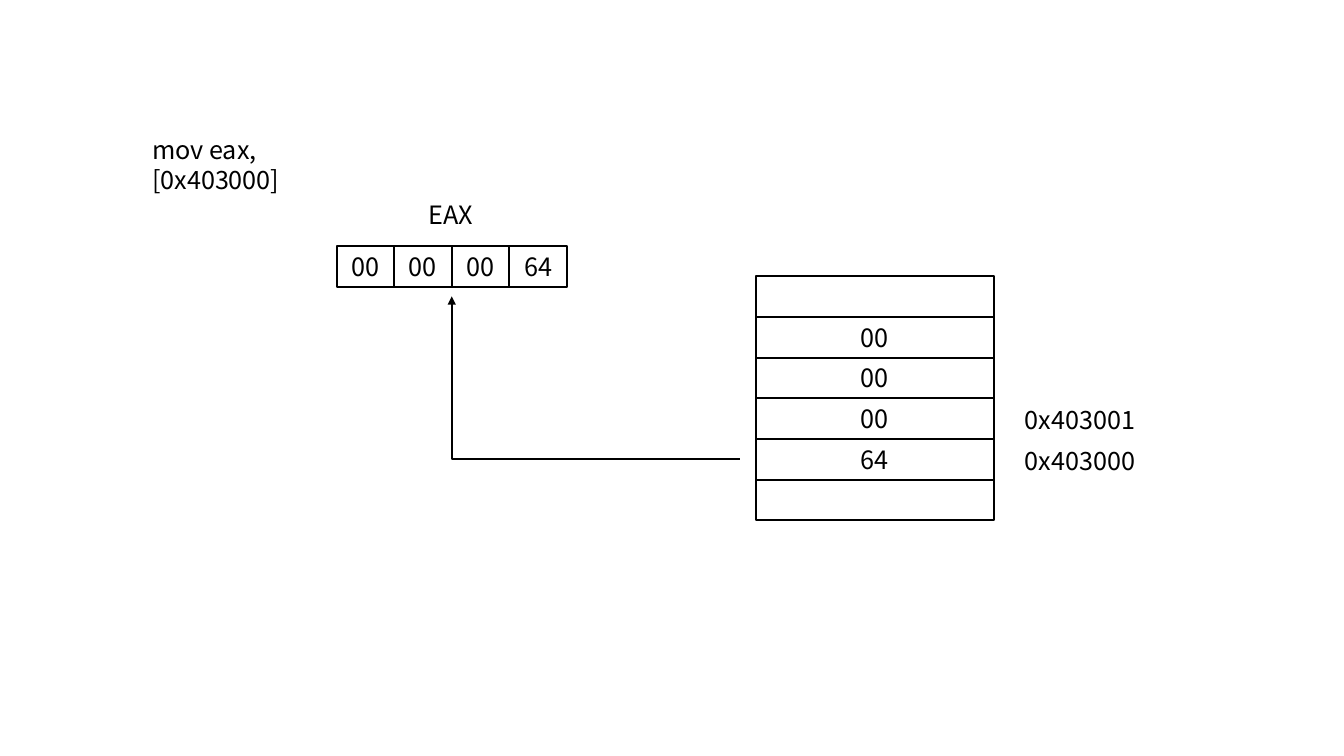
from lxml.etree import SubElement
from pptx import Presentation
from pptx.dml.color import RGBColor
from pptx.enum.shapes import MSO_CONNECTOR as Link, MSO_SHAPE as Shape
from pptx.enum.text import MSO_ANCHOR as Anchor, MSO_AUTO_SIZE as Fit, PP_ALIGN as Align
from pptx.oxml.ns import qn
from pptx.util import Pt

# Content
INSTRUCTION = "mov eax, [0x403000]"
REGISTER_NAME = "EAX"
REGISTER_BYTES = ["00", "00", "00", "64"]
# Memory rows from top to bottom: byte, address
MEMORY = [
    ("", ""),
    ("00", ""),
    ("00", ""),
    ("00", "0x403001"),
    ("64", "0x403000"),
    ("", ""),
]
LOADED_ROW = 4

# Theme
THEME = {
    "font": "Noto Sans CJK KR",
    "size": 18,
    "ink": RGBColor(0, 0, 0),
    "line": 1.5,
}

# Layout, in points
SLIDE_W, SLIDE_H = 960, 540
CELL_H = 29.08
REGISTER_X, REGISTER_Y, BYTE_W = 240.5, 175.7, 41.1
MEMORY_X, MEMORY_Y, MEMORY_W = 540, 197.3, 170
ADDRESS_X, ADDRESS_W = 725, 93.6
ARROW_START_GAP, ARROW_END_GAP = 11.5, 7

deck = Presentation()
deck.slide_width, deck.slide_height = Pt(SLIDE_W), Pt(SLIDE_H)
slide = deck.slides.add_slide(deck.slide_layouts[6])


def put_text(text, x, y, w, *, boxed=False, wrap=True, anchor=Anchor.TOP):
    """Place a label, or a centred cell with an outline when boxed."""
    bounds = Pt(x), Pt(y), Pt(w), Pt(CELL_H)
    if boxed:
        part = slide.shapes.add_shape(Shape.RECTANGLE, *bounds)
        part.shadow.inherit = False
        part.fill.background()
        part.line.color.rgb = THEME["ink"]
        part.line.width = Pt(THEME["line"])
    else:
        part = slide.shapes.add_textbox(*bounds)
    if not text:
        return
    frame = part.text_frame
    frame.word_wrap = wrap
    frame.auto_size = Fit.SHAPE_TO_FIT_TEXT
    frame.vertical_anchor = anchor
    paragraph = frame.paragraphs[0]
    paragraph.alignment = Align.CENTER if boxed else Align.LEFT
    run = paragraph.add_run()
    run.text = text
    run.font.name = THEME["font"]
    run.font.size = Pt(THEME["size"])
    run.font.color.rgb = THEME["ink"]
    # East Asian face matches the Latin one
    SubElement(run.font._element, qn("a:ea"), typeface=THEME["font"])


# Instruction
put_text(INSTRUCTION, 101.5, 92.2, 178)

# Memory cells and their addresses
for row, (value, address) in enumerate(MEMORY):
    row_y = MEMORY_Y + row * CELL_H
    put_text(value, MEMORY_X, row_y, MEMORY_W, boxed=True)
    if address:
        put_text(address, ADDRESS_X, row_y + 0.6, ADDRESS_W)

# Register
put_text(REGISTER_NAME, 298.8, 139, 46.8, wrap=False)
for column, value in enumerate(REGISTER_BYTES):
    put_text(value, REGISTER_X + column * BYTE_W, REGISTER_Y, BYTE_W,
             boxed=True, anchor=Anchor.MIDDLE)

# Arrow from the loaded memory row to the register
load_arrow = slide.shapes.add_connector(
    Link.ELBOW,
    Pt(MEMORY_X - ARROW_START_GAP),
    Pt(MEMORY_Y + (LOADED_ROW + 0.5) * CELL_H),
    Pt(REGISTER_X + len(REGISTER_BYTES) * BYTE_W / 2),
    Pt(REGISTER_Y + CELL_H + ARROW_END_GAP),
)
load_arrow.line.color.rgb = THEME["ink"]
load_arrow.line.width = Pt(THEME["line"])
SubElement(load_arrow.line._get_or_add_ln(), qn("a:tailEnd"), type="triangle")
properties = load_arrow._element.spPr
SubElement(properties, qn("a:effectLst"))
# Bend at the far end: run left first, then straight up
bend = properties.find(qn("a:prstGeom")).find(qn("a:avLst"))
SubElement(bend, qn("a:gd"), name="adj1", fmla="val 100000")

deck.save("out.pptx")
